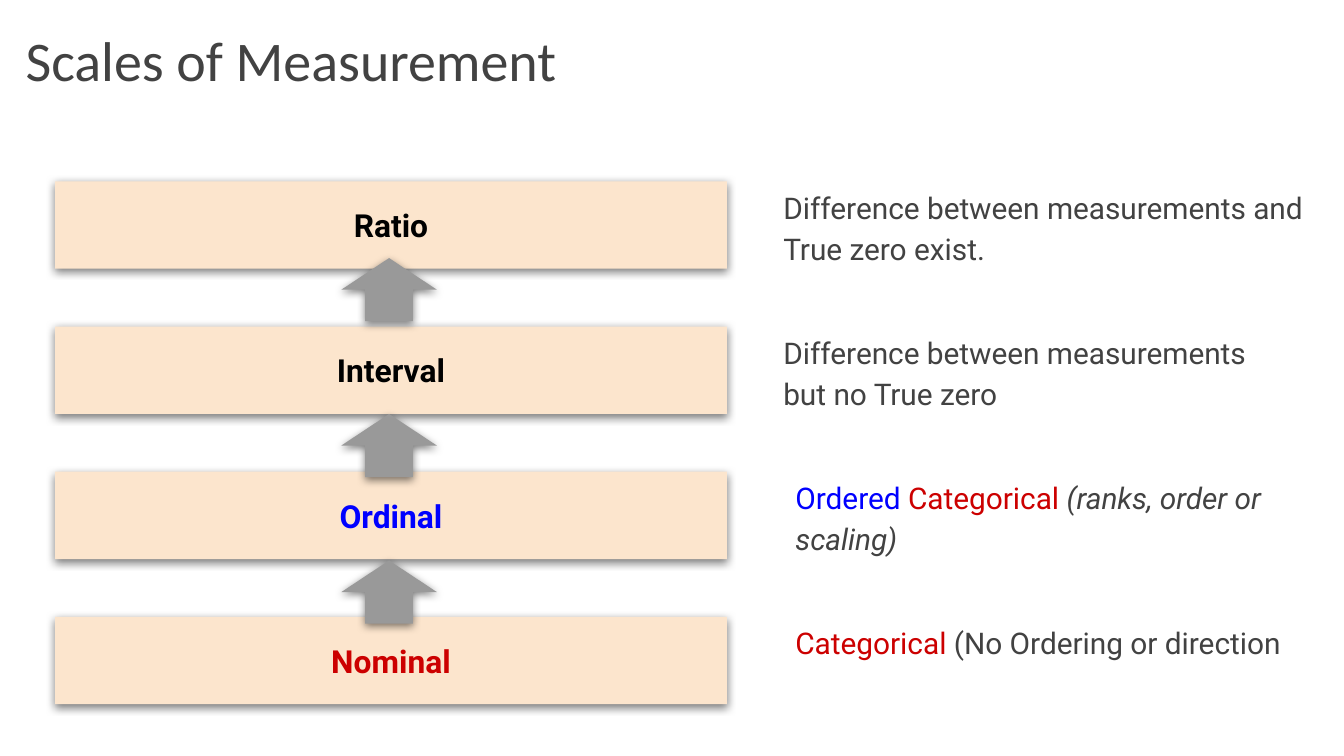
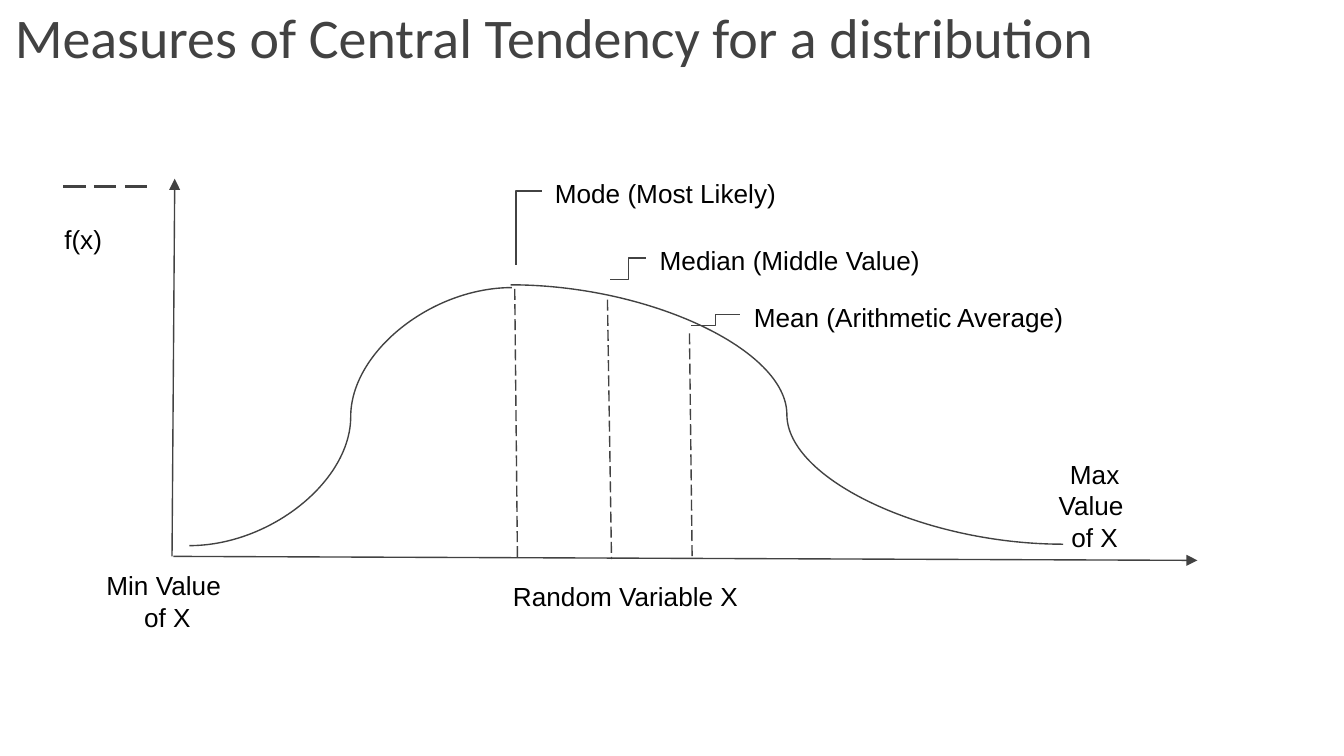
"""Build two slides on measurement scales and central tendency."""
from lxml.etree import SubElement
from pptx import Presentation
from pptx.dml.color import RGBColor
from pptx.enum.dml import MSO_LINE
from pptx.enum.shapes import MSO_CONNECTOR, MSO_SHAPE
from pptx.enum.text import MSO_ANCHOR, MSO_AUTO_SIZE, PP_ALIGN
from pptx.oxml.ns import qn
from pptx.util import Inches, Pt

COLORS = {
    "text": "424242",
    "black": "000000",
    "white": "FFFFFF",
    "blue": "0000FF",
    "red": "CC0000",
    "level": "FCE5CD",
    "arrow": "999999",
}
TITLE_LAYOUT = 5
LEVEL_TOP, LEVEL_PITCH, LEVEL_HEIGHT = 1.35, 1.08, 0.65

LEVELS = [
    ("Ratio", "black", 5.73, 4.11,
     [("Difference between measurements and True zero exist.", "text", False)]),
    ("Interval", "black", 5.73, 3.87,
     [("Difference between measurements but no True zero", "text", False)]),
    ("Ordinal", "blue", 5.82, 3.87,
     [("Ordered ", "blue", False), ("Categorical ", "red", False),
      ("(ranks, order or scaling)", "text", True)]),
    ("Nominal", "red", 5.82, 3.87,
     [("Categorical", "red", False),
      (" (No Ordering or direction", "text", False)]),
]
ARROW_TOPS = [4.05, 2.96, 1.8]

CURVES = [(1.41, 4.06, 3.81, 2.14), (7.91, 4.05, 3.8, 2.12)]
AXES = [(1.29, 4.14, 8.91, 4.17), (1.28, 4.14, 1.3, 1.33)]
MARKERS = [(3.83, 2.15, 3.85, 4.15), (4.52, 2.23, 4.55, 4.16), (5.13, 2.48, 5.15, 4.16)]
STEP_LEADERS = [(4.54, 2.08, 4.81, 1.92), (5.14, 2.42, 5.51, 2.34)]
MODE_LEADER = (4.03, 1.42, 3.84, 1.97)
LABELS = [
    (["Mode (Most Likely)"], (4.03, 1.22, 2.48, 0.39), PP_ALIGN.LEFT),
    (["Median (Middle Value)"], (4.81, 1.72, 2.48, 0.39), PP_ALIGN.LEFT),
    (["Mean (Arithmetic Average)"], (5.51, 2.14, 3.58, 0.39), PP_ALIGN.LEFT),
    (["f(x)"], (0.38, 1.56, 0.78, 0.39), PP_ALIGN.LEFT),
    (["Random Variable X"], (3.27, 4.22, 2.77, 0.39), PP_ALIGN.CENTER),
    (["Max Value ", "of X"], (7.62, 3.31, 1.05, 0.39), PP_ALIGN.CENTER),
    (["Min Value ", "of X"], (0.64, 4.14, 1.21, 0.63), PP_ALIGN.CENTER),
]


def color(name):
    return RGBColor.from_string(COLORS[name])


def inches(values):
    return [Inches(value) for value in values]


def setup_frame(frame, anchor):
    frame.word_wrap = True
    frame.auto_size = MSO_AUTO_SIZE.NONE
    frame.vertical_anchor = anchor
    frame.margin_left = frame.margin_right = Inches(0.1)
    frame.margin_top = frame.margin_bottom = Inches(0.1)


def add_span(para, text, font, size, tint, bold=False, italic=False):
    span = para.add_run()
    span.text = text
    span.font.name = font
    span.font.size = Pt(size)
    span.font.bold = bold
    span.font.italic = italic
    span.font.color.rgb = color(tint)


def add_page(deck, title, left, height):
    page = deck.slides.add_slide(deck.slide_layouts[TITLE_LAYOUT])
    box = page.shapes.title
    box.left, box.top, box.width, box.height = inches((left, -0.01, 9.32, height))
    setup_frame(box.text_frame, MSO_ANCHOR.BOTTOM)
    para = box.text_frame.paragraphs[0]
    para.alignment = PP_ALIGN.LEFT
    add_span(para, title, "Calibri", 30, "text")
    return page


def add_solid(page, preset, place, fill):
    shape = page.shapes.add_shape(preset, *inches(place))
    shape.fill.solid()
    shape.fill.fore_color.rgb = color(fill)
    shape.line.fill.background()
    shape.shadow.inherit = False
    effects = shape._element.spPr.find(qn("a:effectLst"))
    shadow = SubElement(effects, qn("a:outerShdw"), blurRad=str(Pt(4.5)),
                        dist=str(Pt(1.5)), dir="5400000", algn="bl", rotWithShape="0")
    shade = SubElement(shadow, qn("a:srgbClr"), val=COLORS["black"])
    SubElement(shade, qn("a:alpha"), val="50000")
    return shape


def add_level(page, name, tint, top):
    box = add_solid(page, MSO_SHAPE.RECTANGLE, (0.41, top, 5, LEVEL_HEIGHT), "level")
    setup_frame(box.text_frame, MSO_ANCHOR.MIDDLE)
    para = box.text_frame.paragraphs[0]
    para.alignment = PP_ALIGN.CENTER
    add_span(para, name, "Roboto", 17, tint, bold=True)


def add_description(page, spans, place):
    box = page.shapes.add_textbox(*inches(place))
    box.fill.solid()
    box.fill.fore_color.rgb = color("white")
    setup_frame(box.text_frame, MSO_ANCHOR.TOP)
    para = box.text_frame.paragraphs[0]
    para.line_spacing = 1.15
    para.space_after = Pt(16)
    for text, tint, italic in spans:
        add_span(para, text, "Roboto", 16, tint, italic=italic)


def add_label(page, lines, place, alignment):
    box = page.shapes.add_textbox(*inches(place))
    frame = box.text_frame
    setup_frame(frame, MSO_ANCHOR.TOP)
    for index, text in enumerate(lines):
        para = frame.add_paragraph() if index else frame.paragraphs[0]
        para.alignment = alignment
        add_span(para, text, "Arial", 14, "black")


def add_line(page, ends, kind=MSO_CONNECTOR.STRAIGHT, width=0.75, dashed=False, arrow=False):
    line = page.shapes.add_connector(kind, *inches(ends))
    line.line.color.rgb = color("text")
    line.line.width = Pt(width)
    if dashed:
        line.line.dash_style = MSO_LINE.LONG_DASH
    if arrow:
        SubElement(line.line._get_or_add_ln(), qn("a:tailEnd"), type="triangle")
    SubElement(line._element.spPr, qn("a:effectLst"))
    return line


def build_scales(deck):
    page = add_page(deck, "Scales of Measurement", 0.09, 0.8)
    for index, (name, tint, left, width, spans) in enumerate(LEVELS):
        top = LEVEL_TOP + index * LEVEL_PITCH
        add_level(page, name, tint, top)
        add_description(page, spans, (left, top - 0.08, width, LEVEL_HEIGHT))
    for top in ARROW_TOPS:
        arrow = add_solid(page, MSO_SHAPE.RIGHT_ARROW, (2.66, top, 0.47, 0.71), "arrow")
        arrow.rotation = 270


def build_distribution(deck):
    page = add_page(deck, "Measures of Central Tendency for a distribution", 0.01, 0.63)
    add_line(page, (0.47, 1.39, 1.14, 1.39), width=1.5, dashed=True)
    for lines, place, alignment in LABELS:
        add_label(page, lines, place, alignment)
    for ends in AXES:
        add_line(page, ends, arrow=True)
    for ends in CURVES:
        add_line(page, ends, MSO_CONNECTOR.CURVE)
    for ends in MARKERS:
        add_line(page, ends, dashed=True)
    for ends in STEP_LEADERS:
        add_line(page, ends, MSO_CONNECTOR.ELBOW)
    corner = add_line(page, MODE_LEADER, MSO_CONNECTOR.ELBOW)
    corner._element.spPr.find(qn("a:prstGeom")).set("prst", "bentConnector2")


def main():
    deck = Presentation()
    deck.slide_width = Inches(10)
    deck.slide_height = Inches(10 * 9 / 16)
    build_scales(deck)
    build_distribution(deck)
    deck.save("out.pptx")


if __name__ == "__main__":
    main()
